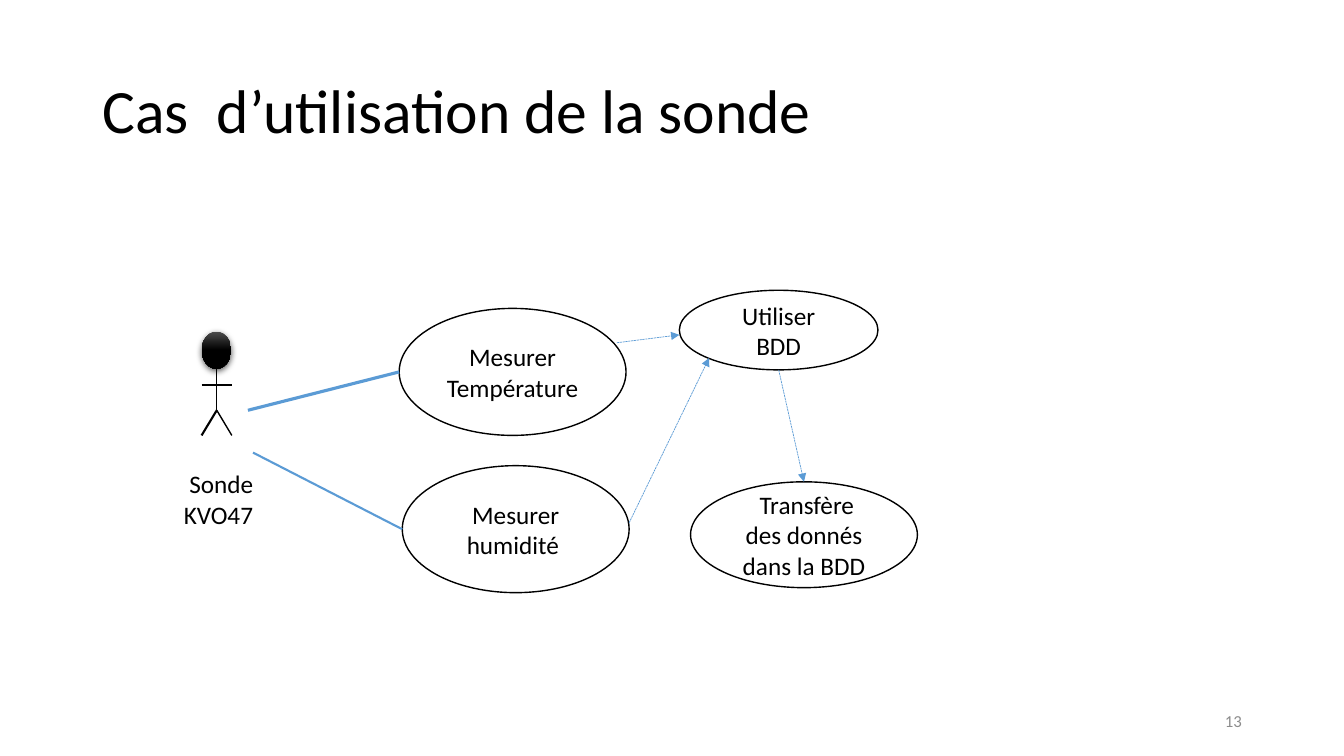
from lxml.etree import SubElement as Sub
from pptx import Presentation
from pptx.dml.color import RGBColor as Rgb
from pptx.enum.dml import MSO_LINE as Dash
from pptx.enum.shapes import MSO_CONNECTOR as Link, MSO_SHAPE as Form
from pptx.enum.text import MSO_ANCHOR as Anchor, PP_ALIGN as Align
from pptx.oxml.ns import qn
from pptx.util import Inches, Pt

WIDE, HIGH = 13.33, 7.5
INK = {"black": "000000", "white": "FFFFFF", "blue": "5B9BD5",
       "grey": "8C8C8C", "shine": "4B4B4B"}

# Boxes are left, top, width, height in percent of the slide.
TITLE = (6.9, 5.33, 86.25, 19.33)
PAGE = (70.65, 92.67, 22.5, 5.33)
HEAD = (15, 43.87, 2.2, 4.93)
NAME = (12.15, 61.33, 8.63, 9.47)
CASES = {
    "heat": ("Mesurer Température", (29.7, 40.8, 16.88, 16.8)),
    "damp": ("Mesurer humidité ", (29.93, 61.6, 16.88, 16.8)),
    "base": ("Utiliser BDD", (50.55, 38.4, 14.78, 10.53)),
    "send": (" Transfère des donnés dans la BDD", (51.38, 63.73, 16.88, 14)),
}


def rgb(name):
    return Rgb.from_string(INK[name])


def place(x, y):
    return Inches(WIDE * x / 100), Inches(HIGH * y / 100)


def spot(case, right, down):
    """Point at the given shares of a case's width and height."""
    x, y, w, h = CASES[case][1]
    return x + w * right, y + h * down


def write(shape, text, size=18, ink="black", align=Align.CENTER,
          anchor=Anchor.MIDDLE, space=1):
    frame = shape.text_frame
    para = frame.paragraphs[0]
    run = para.add_run()
    run.text = text
    run.font.color.rgb = rgb(ink)
    looks = ((frame, {"word_wrap": True, "vertical_anchor": anchor}),
             (para, {"alignment": align, "line_spacing": space}),
             (run.font, {"name": "Calibri", "size": Pt(size)}))
    for part, look in looks:
        for key, value in look.items():
            setattr(part, key, value)


def label(slide, box, text, **look):
    area = slide.shapes.add_textbox(*place(*box[:2]), *place(*box[2:]))
    write(area, text, **look)


def oval(slide, box):
    shape = slide.shapes.add_shape(Form.OVAL, *place(*box[:2]), *place(*box[2:]))
    shape.shadow.inherit = False
    return shape


def case(slide, text, box):
    shape = oval(slide, box)
    shape.fill.solid()
    shape.fill.fore_color.rgb = rgb("white")
    shape.line.color.rgb = rgb("black")
    shape.line.width = Pt(1)
    write(shape, text)


def line(slide, start, end, ink="black", width=1, arrow=False):
    link = slide.shapes.add_connector(Link.STRAIGHT, *place(*start), *place(*end))
    link.line.color.rgb = rgb(ink)
    link.line.width = Pt(width)
    if arrow:
        link.line.dash_style = Dash.SQUARE_DOT
        Sub(link.line._get_or_add_ln(), qn("a:tailEnd"), type="triangle")
    Sub(link._element.spPr, qn("a:effectLst"))


def head(slide):
    shape = oval(slide, HEAD)
    shape.line.fill.background()
    shape.fill.gradient()
    shape.fill.gradient_angle = 270
    for stop, ink, pos in zip(shape.fill.gradient_stops, ("shine", "black"), (0, 0.5)):
        stop.color.rgb = rgb(ink)
        stop.position = pos
    glow = Sub(shape._element.spPr.find(qn("a:effectLst")), qn("a:outerShdw"),
               blurRad=str(Pt(4.5)), dist=str(Pt(1.5)), dir="5400000", rotWithShape="0")
    tint = Sub(glow, qn("a:srgbClr"), val=INK["black"])
    Sub(tint, qn("a:alpha"), val="63000")


def actor(slide):
    head(slide)
    left, mid, right = 15, 16.13, 17.25
    neck, arm, hip, foot = 48.8, 50.93, 54.27, 57.6
    line(slide, (mid, neck), (mid, hip))
    line(slide, (left, arm), (right, arm))
    line(slide, (mid, hip), (left, foot), width=1.5)
    line(slide, (mid, hip), (right, foot))
    label(slide, NAME, "Sonde KVO47 ", anchor=Anchor.TOP)


def main():
    deck = Presentation()
    deck.slide_width, deck.slide_height = place(100, 100)
    slide = deck.slides.add_slide(deck.slide_layouts[6])
    label(slide, TITLE, "Cas  d’utilisation de la sonde", size=44,
          align=Align.LEFT, space=0.9)
    actor(slide)
    for text, box in CASES.values():
        case(slide, text, box)
    line(slide, (18.45, 54.27), spot("heat", 0, 0.5), "blue", 2.25)
    line(slide, (18.83, 59.87), spot("damp", 0, 0.5), "blue", 1.5)
    steps = ((spot("heat", 0.96, 0.27), spot("base", 0, 0.56)),
             (spot("damp", 1, 0.45), spot("base", 0.15, 0.85)),
             (spot("base", 0.5, 1), spot("send", 0.5, 0)))
    for start, end in steps:
        line(slide, start, end, "blue", 0.5, arrow=True)
    label(slide, PAGE, "13", size=12, ink="grey", align=Align.RIGHT)
    deck.save("out.pptx")


if __name__ == "__main__":
    main()
